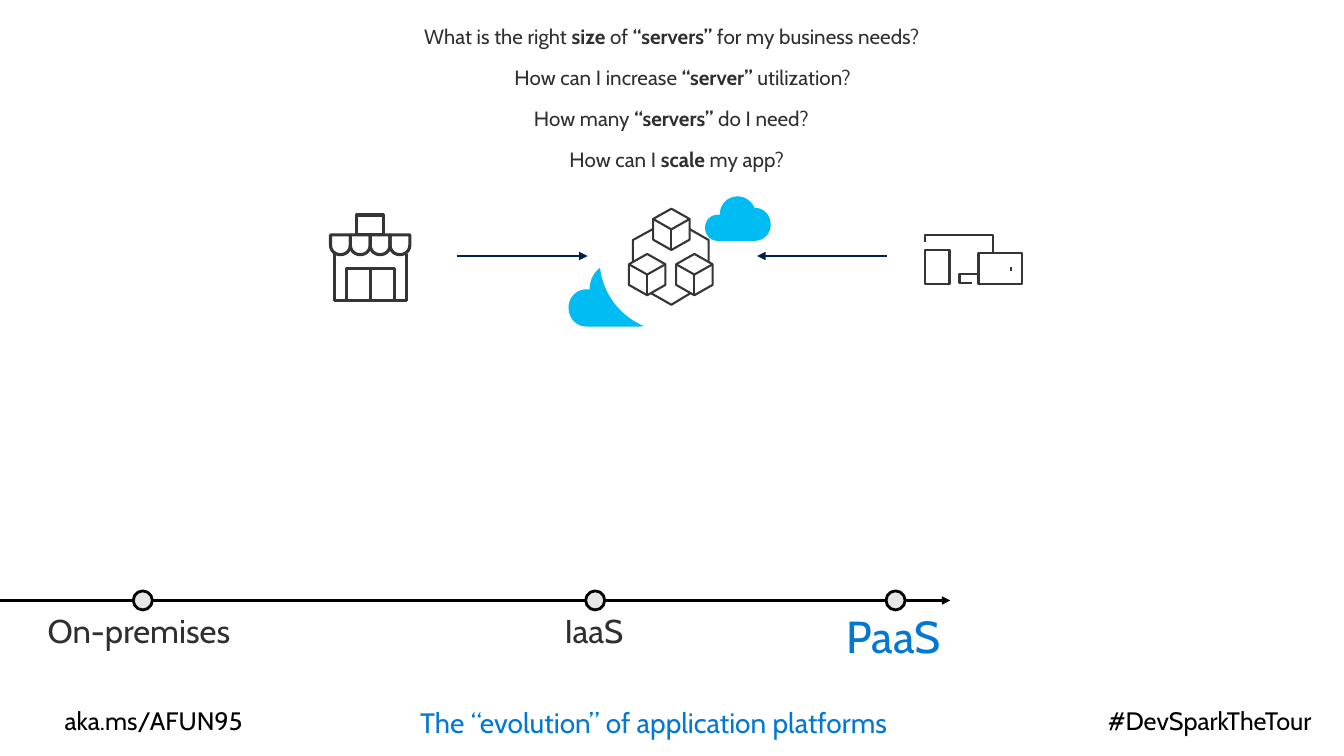
"""Build the slide on the evolution of application platforms."""
from dataclasses import dataclass

from lxml.etree import SubElement
from pptx import Presentation
from pptx.dml.color import RGBColor
from pptx.enum.shapes import MSO_CONNECTOR, MSO_SHAPE
from pptx.enum.text import MSO_ANCHOR as ANCHOR, MSO_AUTO_SIZE as AUTO, PP_ALIGN as ALIGN
from pptx.oxml.ns import qn
from pptx.util import Cm, Pt

Point = tuple[float, float]
FONT, INK, ICON, BLUE, NAVY, SKY = "Cabin", "2F2F2F", "353535", "0078D4", "002050", "00BCF2"
BLACK, WHITE, GREY = "000000", "FFFFFF", "E6E6E6"
AXIS_Y = 15.13
ARROW_Y = 6.45


@dataclass
class Label:
    text: str
    left: float
    top: float
    width: float
    height: float
    size: float
    color: str = INK
    align: ALIGN = ALIGN.LEFT
    inset: Point = (0, 0)
    wrap: bool = True
    spacing: float = 1.0


@dataclass
class Outline:
    points: list[Point]
    width: float = 1.5
    closed: bool = False
    fill: str | None = None


@dataclass
class Box:
    left: float
    top: float
    width: float
    height: float
    line: float = 1.5


@dataclass
class Line:
    start: Point
    end: Point
    color: str = ICON
    width: float = 1.5
    arrow: bool = False


def rgb(value: str) -> RGBColor:
    return RGBColor.from_string(value)


def curve(start: Point, c1: Point, c2: Point, end: Point, steps: int = 12) -> list[Point]:
    points = []
    for i in range(1, steps + 1):
        t = i / steps
        weights = ((1 - t) ** 3, 3 * t * (1 - t) ** 2, 3 * t * t * (1 - t), t ** 3)
        points.append(tuple(sum(w * p[k] for w, p in zip(weights, (start, c1, c2, end)))
                            for k in (0, 1)))
    return points


def style(sp, fill: str | None, line: str | None, width: float) -> None:
    sp.shadow.inherit = False
    if fill:
        sp.fill.solid()
        sp.fill.fore_color.rgb = rgb(fill)
    else:
        sp.fill.background()
    if line:
        sp.line.color.rgb = rgb(line)
        sp.line.width = Pt(width)
    else:
        sp.line.fill.background()


def draw_outline(shapes, outline: Outline) -> None:
    points = [(Cm(x), Cm(y)) for x, y in outline.points]
    builder = shapes.build_freeform(*points[0], scale=1.0)
    builder.add_line_segments(points[1:], close=outline.closed)
    line = None if outline.fill else ICON
    style(builder.convert_to_shape(), outline.fill, line, outline.width)


def draw_box(shapes, box: Box):
    sp = shapes.add_shape(MSO_SHAPE.RECTANGLE, Cm(box.left), Cm(box.top),
                          Cm(box.width), Cm(box.height))
    style(sp, None, ICON, box.line)
    return sp


def draw_circle(shapes, x: float, y: float, size: float, fill: str, line: str | None) -> None:
    sp = shapes.add_shape(MSO_SHAPE.OVAL, Cm(x - size / 2), Cm(y - size / 2), Cm(size), Cm(size))
    style(sp, fill, line, 2)


def draw_line(shapes, line: Line):
    cx = shapes.add_connector(MSO_CONNECTOR.STRAIGHT, *map(Cm, (*line.start, *line.end)))
    cx.line.color.rgb = rgb(line.color)
    cx.line.width = Pt(line.width)
    if line.arrow:
        SubElement(cx.line._get_or_add_ln(), qn("a:tailEnd"), type="triangle")
    SubElement(cx._element.spPr, qn("a:effectLst"))
    return cx


def fill_label(sp, label: Label) -> None:
    sp.left, sp.top, sp.width, sp.height = map(
        Cm, (label.left, label.top, label.width, label.height))
    tf = sp.text_frame
    tf.word_wrap = label.wrap
    tf.margin_left = tf.margin_right = Cm(label.inset[0])
    tf.margin_top = tf.margin_bottom = Cm(label.inset[1])
    p = tf.paragraphs[0]
    p.alignment, p.line_spacing = label.align, label.spacing
    for i, part in enumerate(label.text.split("*")):
        r = p.add_run()
        r.text = part
        r.font.name, r.font.size, r.font.bold = FONT, Pt(label.size), i % 2 == 1
        r.font.color.rgb = rgb(label.color)


def draw_label(shapes, label: Label) -> None:
    sp = shapes.add_textbox(0, 0, 0, 0)
    fill_label(sp, label)
    sp.text_frame.auto_size = AUTO.SHAPE_TO_FIT_TEXT


def draw_cloud(shapes, left: float, top: float, scale: float) -> None:
    points = [(0.53, 0.66)]
    for bend in (((0.53, 0.28), (0.81, 0), (1.17, 0)),
                 ((1.45, 0), (1.68, 0.18), (1.78, 0.41)),
                 ((2.11, 0.41), (2.36, 0.66), (2.36, 1.02)),
                 ((2.36, 1.35), (2.11, 1.6), (1.78, 1.6)),
                 ((1.78, 1.6), (0.46, 1.6), (0.46, 1.6)),
                 ((0.2, 1.6), (0, 1.4), (0, 1.12)),
                 ((0, 0.86), (0.2, 0.66), (0.46, 0.66))):
        points += curve(points[-1], *bend)
    draw_outline(shapes, Outline([(left + scale * x, top + scale * y) for x, y in points],
                                 closed=True, fill=SKY))


def draw_cube(shapes, x: float, top: float) -> None:
    w, shoulder, middle, hip, foot = 0.46, top + 0.26, top + 0.52, top + 0.78, top + 1.04
    draw_outline(shapes, Outline([(x - w, shoulder), (x, top), (x + w, shoulder),
                                  (x + w, hip), (x, foot), (x - w, hip)], closed=True))
    draw_outline(shapes, Outline([(x + w, shoulder), (x, middle), (x - w, shoulder)]))
    draw_line(shapes, Line((x, middle), (x, foot)))


def draw_cluster(shapes) -> None:
    for x, top in ((16.92, 5.26), (16.31, 6.4), (17.5, 6.4)):
        draw_cube(shapes, x, top)
    for link in ([(16.41, 7.39), (16.92, 7.68), (17.4, 7.39)],
                 [(17.37, 5.77), (17.86, 6.05), (17.86, 6.6)],
                 [(15.95, 6.6), (15.95, 6.05), (16.46, 5.77)]):
        draw_outline(shapes, Outline(link))


def draw_store(shapes) -> None:
    stroke, eave, hem, floor, scallop = 2.25, 5.92, 6.17, 7.58, 0.5
    draw_box(shapes, Box(8.99, 5.42, 0.67, 0.5, stroke))
    for i in range(4):
        x = 8.33 + scallop * i
        end = x + scallop
        arc = curve((x, hem), (x, 6.5), (end, 6.5), (end, hem))
        draw_outline(shapes, Outline([(x, eave), (x, hem), *arc, (end, eave)], stroke, True))
    draw_outline(shapes, Outline([(8.42, 6.4), (8.42, floor), (10.24, floor), (10.24, 6.4)], stroke))
    door = draw_box(shapes, Box(8.74, 6.76, 1.2, floor - 6.76, stroke))
    divider = draw_line(shapes, Line((9.34, 6.76), (9.34, floor), width=stroke))
    divider.begin_connect(door, 0)
    divider.end_connect(door, 2)


def draw_devices(shapes) -> None:
    for box in (Box(23.32, 6.3, 0.61, 0.86), Box(24.66, 6.38, 1.09, 0.78)):
        draw_box(shapes, box)
    draw_line(shapes, Line((25.48, 6.73), (25.48, 6.83), width=2))
    for points in ([(24.66, 6.91), (24.18, 6.91), (24.18, 7.14), (24.49, 7.14)],
                   [(23.32, 6.1), (23.32, 5.92), (25.02, 5.92), (25.02, 6.38)]):
        draw_outline(shapes, Outline(points))


def main() -> None:
    prs = Presentation()
    prs.slide_width, prs.slide_height = Cm(33.87), Cm(19.05)
    shapes = prs.slides.add_slide(prs.slide_layouts[5]).shapes

    title = shapes.title
    fill_label(title, Label("The “evolution” of application platforms", 10.34, 17.96, 14.55, 0.46,
                            20, BLUE, inset=(0.25, 0.13)))
    title.text_frame.vertical_anchor = ANCHOR.MIDDLE
    title.text_frame.auto_size = AUTO.NONE
    for text, left, align in (("aka.ms/AFUN95", 1.63, ALIGN.LEFT),
                              ("#DevSparkTheTour", 21.49, ALIGN.RIGHT)):
        draw_label(shapes, Label(text, left, 17.78, 11.56, 0.76, 18, BLACK, align))

    draw_line(shapes, Line((0, AXIS_Y), (23.95, AXIS_Y), BLACK, 2, True))
    for text, left, width, height, size, color, dot in (
            ("On-premises", 0.69, 5.74, 1.7, 23.5, INK, 3.6),
            ("IaaS", 13.72, 2.54, 1.7, 23.5, INK, 15),
            ("PaaS", 20.83, 3.4, 2.03, 32, BLUE, 22.57)):
        draw_label(shapes, Label(text, left, 15.09, width, height, size, color,
                                 inset=(0.51, 0.41), wrap=False, spacing=0.9))
        draw_circle(shapes, dot, AXIS_Y, 0.48, GREY, BLACK)

    draw_cloud(shapes, 14.33, 6.63, 1)
    for i, draw_icon in enumerate((draw_store, draw_cluster, draw_devices)):
        draw_circle(shapes, 9.39 + 7.55 * i, 6.53, 3.66, WHITE, None)
        draw_icon(shapes)
    for start, end in ((11.51, 14.81), (22.35, 19.08)):
        draw_line(shapes, Line((start, ARROW_Y), (end, ARROW_Y), NAVY, 2, True))
    draw_cloud(shapes, 17.77, 4.95, 0.7)

    for i, (text, left, width) in enumerate((
            ("What is the right *size* of *“servers”* for my business needs?", 9.17, 15.52),
            ("How can I increase* “server”* utilization?", 11.63, 11.15),
            ("How many *“servers” *do I need?", 11.66, 10.52),
            ("How can I *scale* my app?", 13.79, 6.53))):
        draw_label(shapes, Label(text, left, 0.48 + 1.03 * i, width, 0.89, 14.7,
                                 align=ALIGN.CENTER, inset=(0.25, 0.13)))
    prs.save("out.pptx")


if __name__ == "__main__":
    main()
